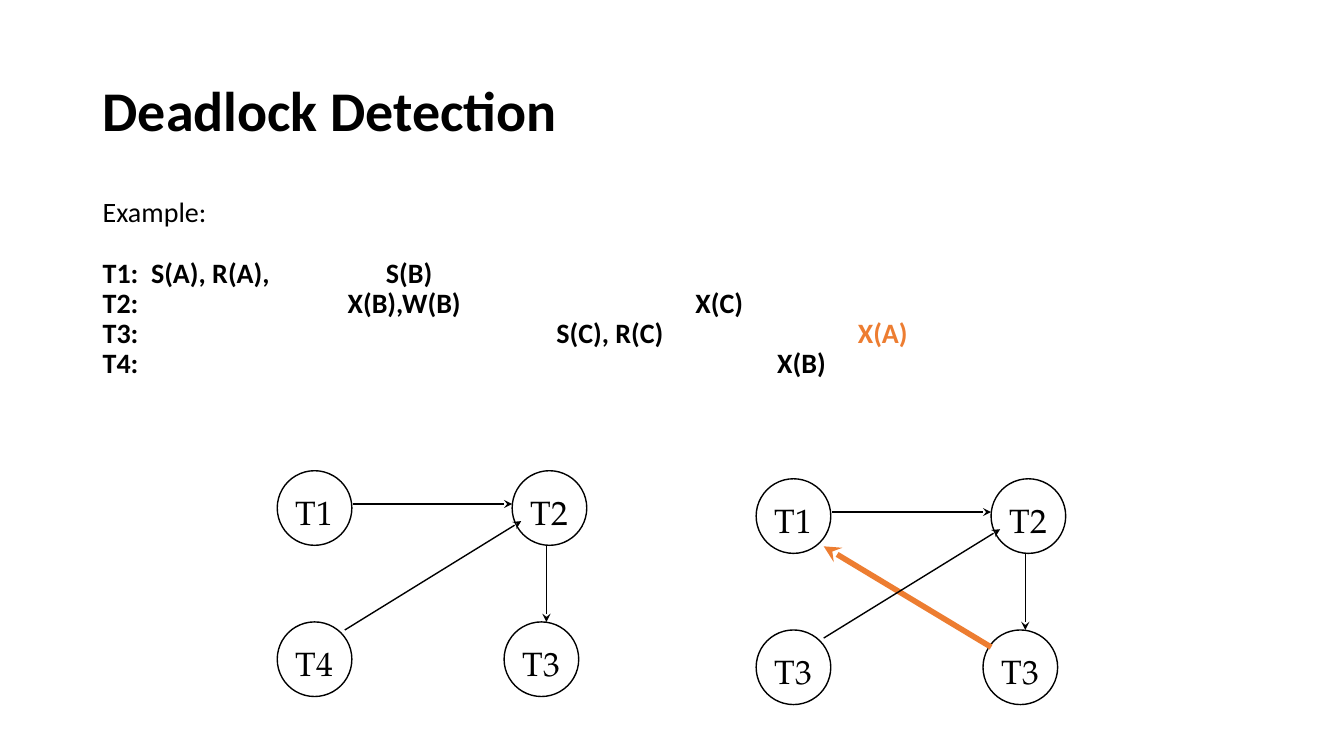
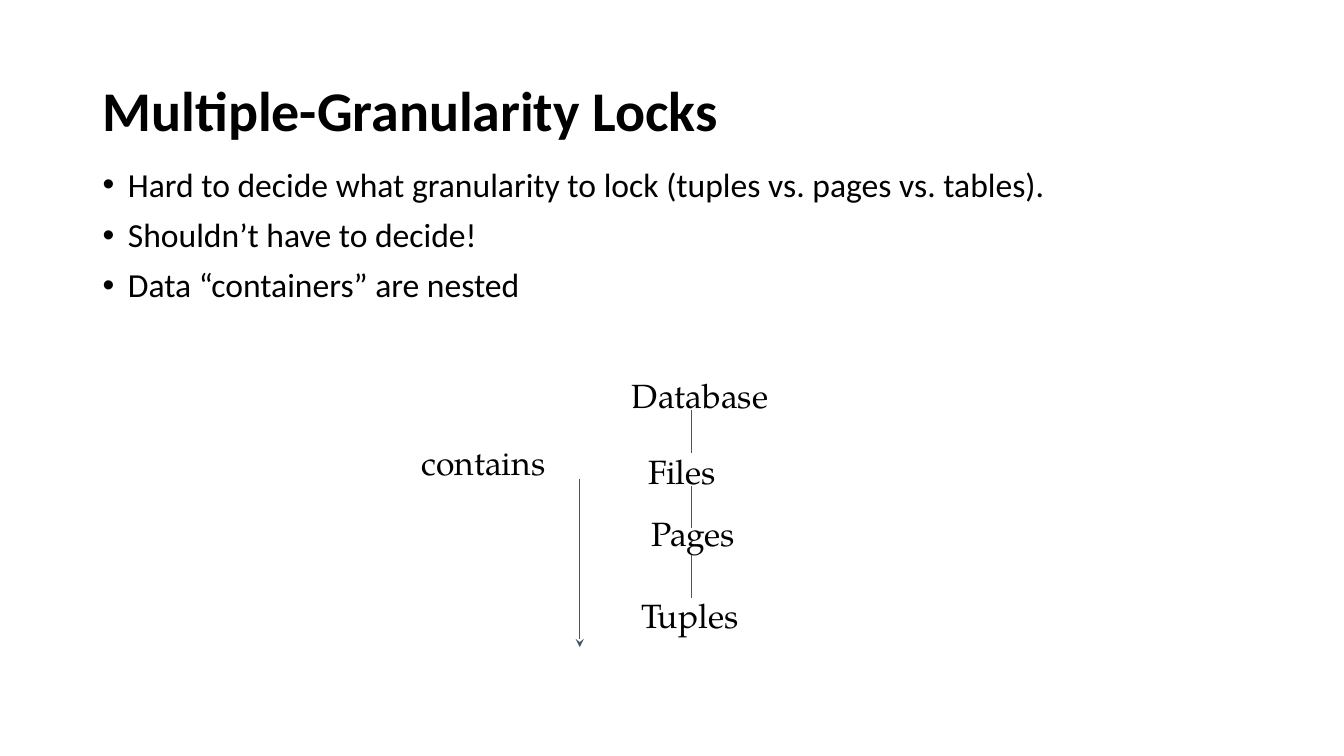
from dataclasses import dataclass

from lxml import etree
from pptx import Presentation
from pptx.dml.color import RGBColor
from pptx.enum.shapes import MSO_CONNECTOR, MSO_SHAPE
from pptx.enum.text import MSO_ANCHOR, MSO_AUTO_SIZE, PP_ALIGN
from pptx.oxml.ns import qn
from pptx.util import Inches, Pt

STRAIGHT = MSO_CONNECTOR.STRAIGHT
ELLIPSE = MSO_SHAPE.OVAL
TOP = MSO_ANCHOR.TOP
MIDDLE = MSO_ANCHOR.MIDDLE
CENTER = PP_ALIGN.CENTER
FIT_SHAPE = MSO_AUTO_SIZE.SHAPE_TO_FIT_TEXT


@dataclass(frozen=True)
class Theme:
    text: RGBColor = RGBColor(0x00, 0x00, 0x00)
    accent: RGBColor = RGBColor(0xED, 0x7D, 0x31)
    slate: RGBColor = RGBColor(0x44, 0x54, 0x6A)
    body_font: str = "Calibri"
    diagram_font: str = "TeX Gyre Pagella"
    title_size: int = 40
    bullet_size: int = 24
    schedule_size: int = 20
    diagram_size: int = 24
    thin: int = 1
    thick: int = 4
    line_spacing: float = 0.9


THEME = Theme()

# Boxes are left, top, width, height in inches.
TITLE_BOX = (0.92, 0.4, 11.5, 1.45)
SCHEDULE_BOX = (0.92, 1.92, 10.17, 2.18)
BULLET_BOX = (0.92, 1.62, 10.17, 5.21)

# Each step is the transaction's action, its tab position and its colour.
SCHEDULE = [
    ("T1:", [("S(A), R(A),", 0.48, THEME.text), ("S(B)", 2.81, THEME.text)]),
    ("T2:", [("X(B),W(B)", 2.43, THEME.text), ("X(C)", 5.88, THEME.text)]),
    ("T3:", [("S(C), R(C)", 4.5, THEME.text), ("X(A)", 7.49, THEME.accent)]),
    ("T4:", [("X(B)", 6.69, THEME.text)]),
]
BULLETS = [
    "Hard to decide what granularity to lock (tuples vs. pages vs. tables).",
    "Shouldn’t have to decide!",
    "Data “containers” are nested",
]

NODE_SIZE = 0.74
NODE_OFFSETS = [(0, 0), (2.33, 0), (0, 1.5), (2.25, 1.5)]
WAIT_EDGES = [
    ((0.75, 0.33), (2.33, 0.33)),
    ((2.67, 0.75), (2.67, 1.5)),
    ((0.67, 1.58), (2.42, 0.5)),
]
CYCLE_EDGE = ((2.33, 1.67), (0.67, 0.67))

# Each level is its name, offset in the hierarchy and width.
LEVELS = [
    ("Database", 0, 0, 1.57),
    ("Files", 0.16, 0.75, 0.89),
    ("Pages", 0.19, 1.37, 1.07),
    ("Tuples", 0.09, 2.18, 1.22),
]
LABEL_HEIGHT = 0.51
LINK_X = 0.69
LINK_TOPS = (0.4, 1.15, 1.84)
LINK_LENGTH = 0.42


def add_run(paragraph, text, size, color=THEME.text, font=THEME.body_font, bold=False):
    run = paragraph.add_run()
    run.text = text
    run.font.size = Pt(size)
    run.font.name = font
    run.font.bold = bold
    run.font.color.rgb = color


def add_text_frame(slide, box, anchor=TOP):
    frame = slide.shapes.add_textbox(*map(Inches, box)).text_frame
    frame.word_wrap = True
    frame.vertical_anchor = anchor
    return frame


def next_paragraph(frame, index, space_before=0):
    paragraph = frame.add_paragraph() if index else frame.paragraphs[0]
    paragraph.line_spacing = THEME.line_spacing
    paragraph.space_before = Pt(space_before)
    return paragraph


def set_tab_stops(paragraph, positions):
    tab_list = etree.SubElement(paragraph._p.get_or_add_pPr(), qn("a:tabLst"))
    for position in positions:
        etree.SubElement(tab_list, qn("a:tab"), pos=str(Inches(position)), algn="l")


def set_bullet(paragraph):
    properties = paragraph._p.get_or_add_pPr()
    properties.set("marL", str(Inches(0.25)))
    properties.set("indent", str(Inches(-0.25)))
    etree.SubElement(properties, qn("a:buFont"), typeface="Arial")
    etree.SubElement(properties, qn("a:buChar"), char="•")


def add_line(slide, origin, start, end, color=THEME.text, width=THEME.thin, arrow=True):
    """Draw a line whose ends are offsets from the origin."""
    left, top = origin
    connector = slide.shapes.add_connector(
        STRAIGHT,
        Inches(left + start[0]), Inches(top + start[1]),
        Inches(left + end[0]), Inches(top + end[1]),
    )
    connector.line.color.rgb = color
    connector.line.width = Pt(width)
    if arrow:
        etree.SubElement(connector.line._get_or_add_ln(), qn("a:tailEnd"), type="stealth")
    etree.SubElement(connector._element.spPr, qn("a:effectLst"))


def add_title(slide, text):
    frame = add_text_frame(slide, TITLE_BOX, MIDDLE)
    add_run(next_paragraph(frame, 0), text, THEME.title_size, bold=True)


def add_schedule(slide, box):
    frame = add_text_frame(slide, box)
    size = THEME.schedule_size
    add_run(next_paragraph(frame, 0), "Example:", size)
    for index, (transaction, steps) in enumerate(SCHEDULE, start=1):
        paragraph = next_paragraph(frame, index, 21.6 if index == 1 else 0)
        set_tab_stops(paragraph, [position for _, position, _ in steps])
        add_run(paragraph, transaction, size, bold=True)
        for action, _, color in steps:
            add_run(paragraph, "\t" + action, size, color, bold=True)


def add_bullets(slide, box):
    frame = add_text_frame(slide, box)
    for index, text in enumerate(BULLETS):
        paragraph = next_paragraph(frame, index, 10)
        set_bullet(paragraph)
        add_run(paragraph, text, THEME.bullet_size)


def add_node(slide, left, top, name):
    node = slide.shapes.add_shape(
        ELLIPSE, Inches(left), Inches(top), Inches(NODE_SIZE), Inches(NODE_SIZE))
    node.shadow.inherit = False
    node.fill.background()
    node.line.color.rgb = THEME.text
    node.line.width = Pt(THEME.thin)
    frame = node.text_frame
    frame.word_wrap = False
    frame.vertical_anchor = TOP
    frame.margin_left = frame.margin_right = frame.margin_bottom = 0
    frame.margin_top = Inches(0.1)
    paragraph = frame.paragraphs[0]
    paragraph.alignment = CENTER
    add_run(paragraph, name, THEME.diagram_size, font=THEME.diagram_font)


def add_waits_for_graph(slide, origin, names, has_cycle=False):
    left, top = origin
    for name, (x, y) in zip(names, NODE_OFFSETS):
        add_node(slide, left + x, top + y, name)
    if has_cycle:
        add_line(slide, origin, *CYCLE_EDGE, color=THEME.accent, width=THEME.thick)
    for start, end in WAIT_EDGES:
        add_line(slide, origin, start, end)


def add_label(slide, left, top, width, text):
    frame = add_text_frame(slide, (left, top, width, LABEL_HEIGHT))
    frame.word_wrap = False
    frame.auto_size = FIT_SHAPE
    add_run(frame.paragraphs[0], text, THEME.diagram_size, font=THEME.diagram_font)


def add_hierarchy(slide, origin):
    left, top = origin
    for name, x, y, width in LEVELS:
        add_label(slide, left + x, top + y, width, name)
    for link_top in LINK_TOPS:
        add_line(slide, origin, (LINK_X, link_top), (LINK_X, link_top + LINK_LENGTH),
                 THEME.slate, arrow=False)


def add_contains_arrow(slide, origin):
    add_line(slide, origin, (1.67, 0.42), (1.67, 2.09), THEME.slate)
    add_label(slide, *origin, 1.45, "contains")


def build_deadlock_slide(slide):
    add_title(slide, "Deadlock Detection")
    add_schedule(slide, SCHEDULE_BOX)
    add_waits_for_graph(slide, (2.75, 4.67), ("T1", "T2", "T4", "T3"))
    add_waits_for_graph(slide, (7.5, 4.75), ("T1", "T2", "T3", "T3"), has_cycle=True)


def build_granularity_slide(slide):
    add_title(slide, "Multiple-Granularity Locks")
    add_bullets(slide, BULLET_BOX)
    add_hierarchy(slide, (6.17, 3.67))
    add_contains_arrow(slide, (4.08, 4.33))


def main():
    presentation = Presentation()
    presentation.slide_width = Inches(13.33)
    presentation.slide_height = Inches(7.5)
    blank_layout = presentation.slide_layouts[6]
    for build in (build_deadlock_slide, build_granularity_slide):
        build(presentation.slides.add_slide(blank_layout))
    presentation.save("out.pptx")


if __name__ == "__main__":
    main()
